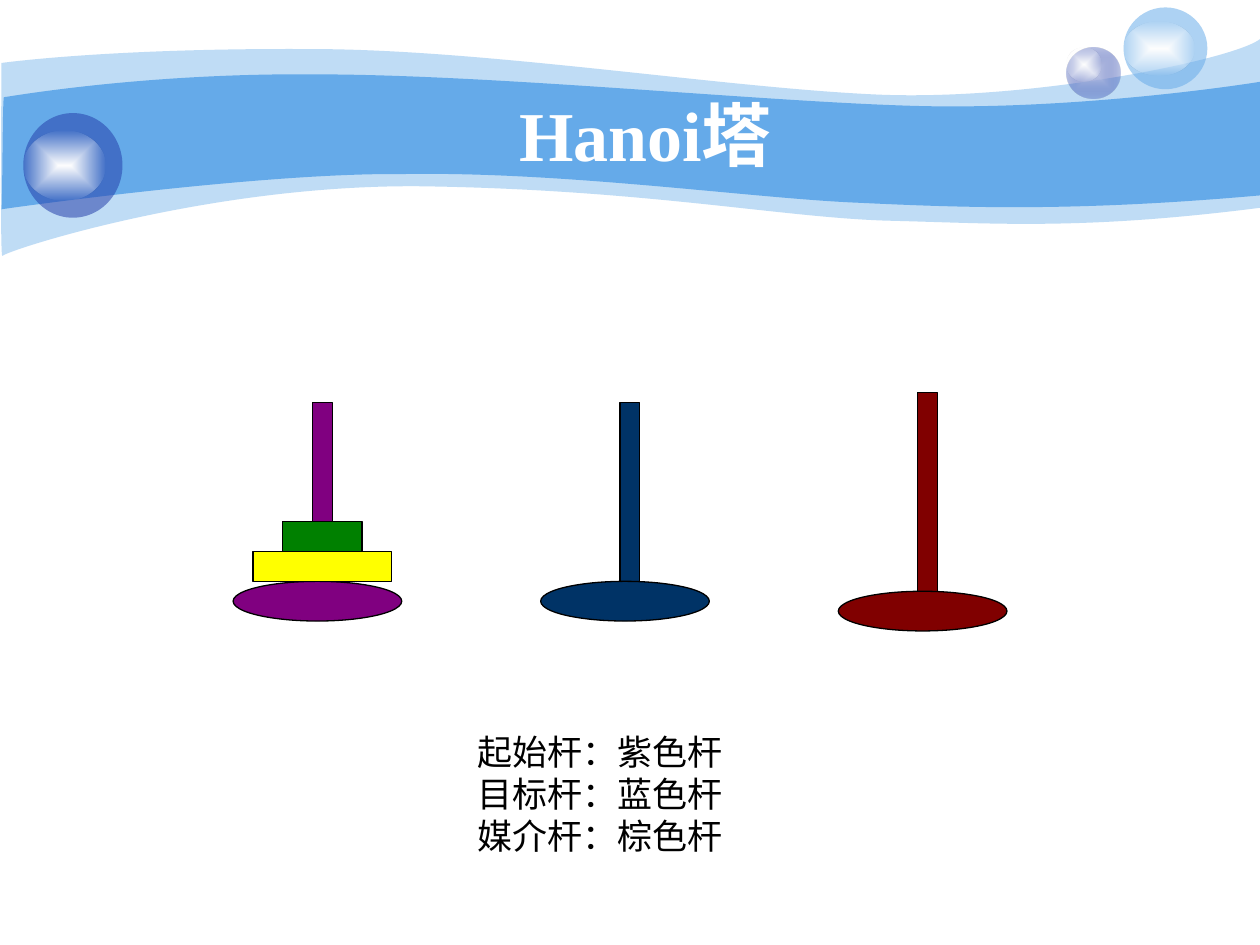
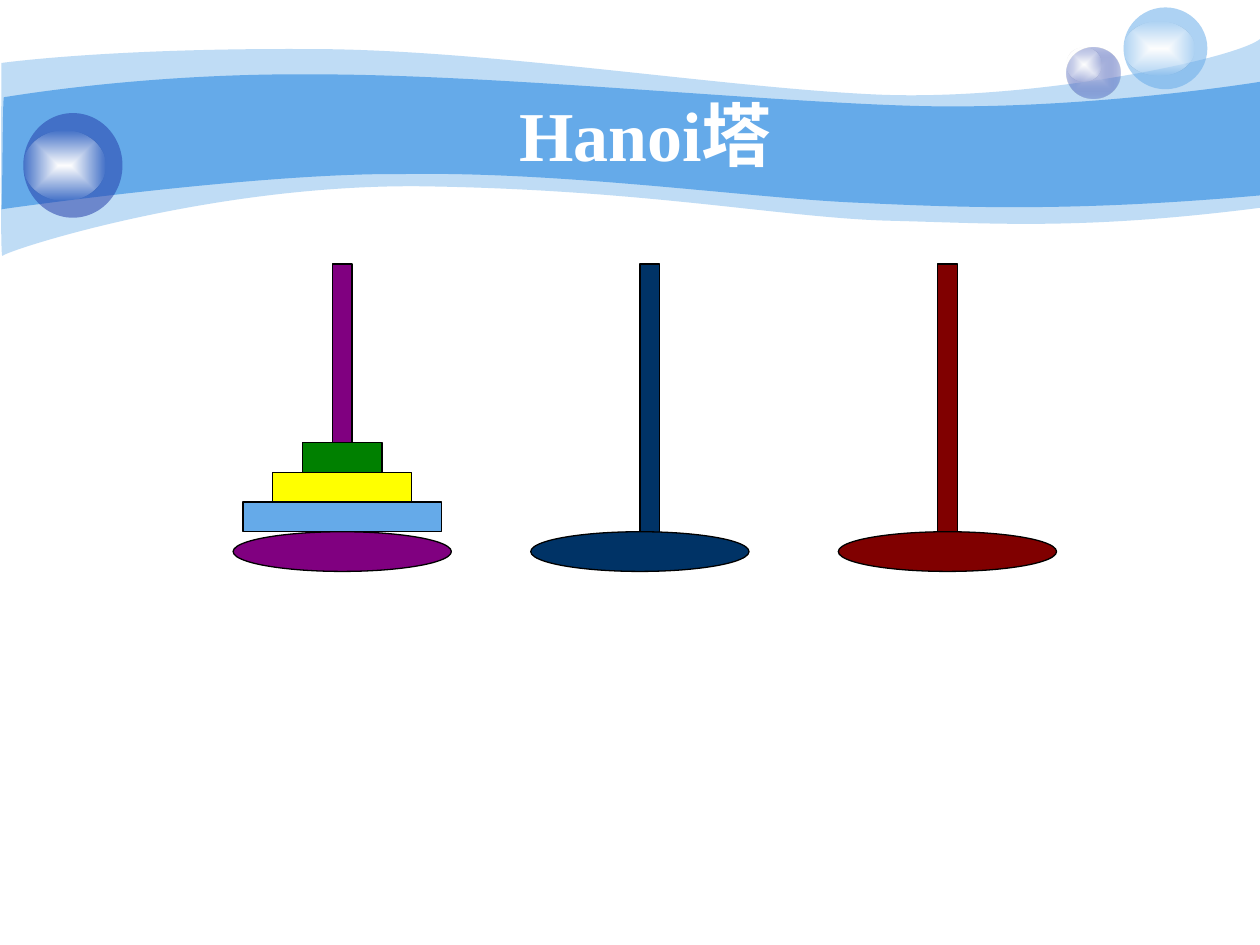
import dataclasses

import lxml.etree
import pptx
import pptx.dml.color
import pptx.enum.shapes
import pptx.enum.text
import pptx.oxml.ns
import pptx.util

Cm = pptx.util.Cm
Pt = pptx.util.Pt
RGBColor = pptx.dml.color.RGBColor
SHAPE = pptx.enum.shapes.MSO_SHAPE
qn = pptx.oxml.ns.qn

SKY = RGBColor(0x65, 0xAA, 0xE9)
INDIGO = RGBColor(0x23, 0x3D, 0xA9)
LAVENDER = RGBColor(0xC7, 0xCE, 0xE9)
WHITE = RGBColor(0xFF, 0xFF, 0xFF)
BLACK = RGBColor(0, 0, 0)
PURPLE = RGBColor(0x80, 0, 0x80)
NAVY = RGBColor(0, 0x33, 0x66)
BROWN = RGBColor(0x80, 0, 0)
GREEN = RGBColor(0, 0x80, 0)
YELLOW = RGBColor(0xFF, 0xFF, 0)

FONT = "Times New Roman"
POLE_WIDTH = 0.4
BASE_HEIGHT = 0.8
DISC_HEIGHT = 0.6

PALE_WAVE = [
    [(0.03, 1.27)],
    [(0.64, 1.19), (2.77, 0.97), (6.27, 0.99)],
    [(9.8, 0.99), (14.63, 1.78), (17.75, 1.91)],
    [(20.88, 2.03), (24.89, 1.19), (25.4, 0.79)],
    [(25.4, 4.19)],
    [(21.79, 4.65), (20.02, 4.5), (17.91, 4.45)],
    [(15.8, 4.39), (13.11, 3.84), (8.74, 3.76)],
    [(4.39, 3.66), (0.13, 5.05), (0.05, 5.16)],
    [(0, 5.28), (0.03, 1.91), (0.03, 1.27)],
]
DEEP_WAVE = [
    [(0.08, 1.96)],
    [(0.13, 1.96), (2.84, 1.47), (6.35, 1.5)],
    [(9.86, 1.5), (15.14, 2.03), (18.26, 2.13)],
    [(21.39, 2.24), (24.79, 1.75), (25.4, 1.65)],
    [(25.4, 3.94)],
    [(21.67, 4.27), (19.46, 4.19), (17.35, 4.09)],
    [(15.24, 4.01), (11.38, 3.45), (8.1, 3.51)],
    [(5.21, 3.48), (0, 4.22), (0.03, 4.22)],
    [(0.05, 4.22), (0.05, 1.96), (0.08, 1.96)],
]


@dataclasses.dataclass
class Box:
    left: float
    top: float
    width: float
    height: float

    def inner(self, left, top, width, height):
        return Box(self.left + left, self.top + top, width, height)

    def lengths(self):
        return [Cm(v) for v in (self.left, self.top, self.width, self.height)]


SLIDE = Box(0, 0, 25.4, 19.05)
HEADER = Box(0, 0, 25.4, 5.3)


def paint(shape, color, alpha=100):
    shape.shadow.inherit = False
    shape.line.fill.background()
    shape.fill.solid()
    shape.fill.fore_color.rgb = color
    if alpha < 100:
        tint = shape.element.spPr.xpath("a:solidFill/a:srgbClr")[0]
        lxml.etree.SubElement(tint, qn("a:alpha"), val=str(alpha * 1000))


def paint_glow(shape, center, rim, rim_alpha):
    paint(shape, center)
    solid = shape.element.spPr.find(qn("a:solidFill"))
    glow = lxml.etree.Element(qn("a:gradFill"), rotWithShape="1")
    stops = lxml.etree.SubElement(glow, qn("a:gsLst"))
    for position, color, alpha in ((0, center, 100), (100, rim, rim_alpha)):
        stop = lxml.etree.SubElement(stops, qn("a:gs"), pos=str(position * 1000))
        tint = lxml.etree.SubElement(stop, qn("a:srgbClr"), val=str(color))
        if alpha < 100:
            lxml.etree.SubElement(tint, qn("a:alpha"), val=str(alpha * 1000))
    focus = lxml.etree.SubElement(glow, qn("a:path"), path="shape")
    lxml.etree.SubElement(focus, qn("a:fillToRect"),
                          l="50000", t="50000", r="50000", b="50000")
    shape.element.spPr.replace(solid, glow)


def bend_lines(wave, segments):
    lines = iter(wave.element.spPr.xpath(".//a:lnTo"))
    for segment in segments[1:]:
        steps = [next(lines) for _ in segment]
        if len(steps) == 3:
            curve = lxml.etree.Element(qn("a:cubicBezTo"))
            steps[0].addprevious(curve)
            for step in steps:
                curve.append(step[0])
                step.getparent().remove(step)


def draw_wave(shapes, box, segments, alpha):
    points = [(Cm(box.left + x), Cm(box.top + y))
              for segment in segments for x, y in segment]
    outline = shapes.build_freeform(*points[0], scale=1.0)
    outline.add_line_segments(points[1:], close=True)
    wave = outline.convert_to_shape()
    bend_lines(wave, segments)
    paint(wave, SKY, alpha)


def draw_bubble(shapes, box, color, alpha, shine_box, center=None):
    bubble = shapes.add_shape(SHAPE.OVAL, *box.lengths())
    if center is None:
        paint(bubble, color, alpha)
    else:
        paint_glow(bubble, center, color, alpha)
    shine = shapes.add_shape(SHAPE.OVAL, *shine_box.lengths())
    paint_glow(shine, WHITE, WHITE, 0)


def draw_header(shapes, box):
    draw_wave(shapes, box, PALE_WAVE, 41)
    draw_wave(shapes, box, DEEP_WAVE, 100)
    small = box.inner(21.5, 0.95, 1.08, 1.03)
    draw_bubble(shapes, small, INDIGO, 31, small.inner(0, 0, 0.71, 0.69), LAVENDER)
    large = box.inner(22.65, 0.15, 1.69, 1.65)
    draw_bubble(shapes, large, SKY, 53, large.inner(0, 0.28, 1.42, 1.1))
    dark = box.inner(0.47, 2.28, 2, 2.11)
    draw_bubble(shapes, dark, INDIGO, 53, dark.inner(0, 0.35, 1.66, 1.42))


def prepare_layout(deck):
    layout = deck.slide_layouts.get_by_name("Title Only")
    for holder in list(layout.placeholders):
        if holder.placeholder_format.idx != 0:
            holder.element.getparent().remove(holder.element)
    return layout


def move_header_to_layout(slide, layout):
    draw_header(slide.shapes, HEADER)
    title = slide.shapes.title.element
    for part in list(slide.shapes):
        if part.element is not title:
            layout.shapes.element.append(part.element)


def style_text(frame, size, color, bold=False):
    for paragraph in frame.paragraphs:
        for run in paragraph.runs:
            run.font.name = FONT
            run.font.size = Pt(size)
            run.font.bold = bold
            run.font.color.rgb = color


def write_title(slide, box):
    title = slide.shapes.title
    title.left, title.top, title.width, title.height = box.lengths()
    frame = title.text_frame
    frame.text = "Hanoi塔"
    frame.auto_size = pptx.enum.text.MSO_AUTO_SIZE.NONE
    frame.vertical_anchor = pptx.enum.text.MSO_ANCHOR.MIDDLE
    frame.paragraphs[0].alignment = pptx.enum.text.PP_ALIGN.CENTER
    style_text(frame, 40, WHITE, bold=True)


def draw_solid(shapes, kind, box, color):
    solid = shapes.add_shape(kind, *box.lengths())
    paint(solid, color)
    solid.line.color.rgb = BLACK
    solid.line.width = Pt(0.75)


def draw_peg(shapes, box, color, pole_left, discs=()):
    base_top = box.height - BASE_HEIGHT
    pole = box.inner(pole_left, 0, POLE_WIDTH, base_top + BASE_HEIGHT / 2)
    base = box.inner(0, base_top, box.width, BASE_HEIGHT)
    draw_solid(shapes, SHAPE.RECTANGLE, pole, color)
    draw_solid(shapes, SHAPE.OVAL, base, color)
    pole_center = pole_left + POLE_WIDTH / 2
    for level, (disc_color, width) in enumerate(discs, start=1):
        disc = box.inner(pole_center - width / 2, base_top - level * DISC_HEIGHT,
                         width, DISC_HEIGHT)
        draw_solid(shapes, SHAPE.RECTANGLE, disc, disc_color)


def write_legend(shapes, box):
    frame = shapes.add_textbox(*box.lengths()).text_frame
    frame.word_wrap = True
    frame.text = "起始杆：紫色杆\n目标杆：蓝色杆\n媒介杆：棕色杆"
    style_text(frame, 20, BLACK)


def fill_two_disc_slide(slide, box):
    write_title(slide, box.inner(2.75, 1.9, 20.53, 1.57))
    discs = [(YELLOW, 2.8), (GREEN, 1.6)]
    draw_peg(slide.shapes, box.inner(16.9, 7.92, 3.4, 4.8), BROWN, 1.6)
    draw_peg(slide.shapes, box.inner(10.9, 8.12, 3.4, 4.4), NAVY, 1.6)
    draw_peg(slide.shapes, box.inner(4.7, 8.12, 3.4, 4.4), PURPLE, 1.6, discs)
    write_legend(slide.shapes, box.inner(9.37, 14.6, 7.06, 2.82))


def fill_three_disc_slide(slide, box):
    write_title(slide, box.inner(2.75, 1.9, 20.53, 1.57))
    discs = [(SKY, 4), (YELLOW, 2.8), (GREEN, 1.6)]
    for left, color, pole_left, stack in (
            (16.9, BROWN, 2, ()), (10.7, NAVY, 2.2, ()), (4.7, PURPLE, 2, discs)):
        draw_peg(slide.shapes, box.inner(left, 5.32, 4.4, 6.2),
                 color, pole_left, stack)


def main():
    deck = pptx.Presentation()
    deck.slide_width, deck.slide_height = Cm(SLIDE.width), Cm(SLIDE.height)
    layout = prepare_layout(deck)
    two_discs, three_discs = (deck.slides.add_slide(layout) for _ in range(2))
    move_header_to_layout(two_discs, layout)
    fill_two_disc_slide(two_discs, SLIDE)
    fill_three_disc_slide(three_discs, SLIDE)
    deck.save("out.pptx")


if __name__ == "__main__":
    main()
